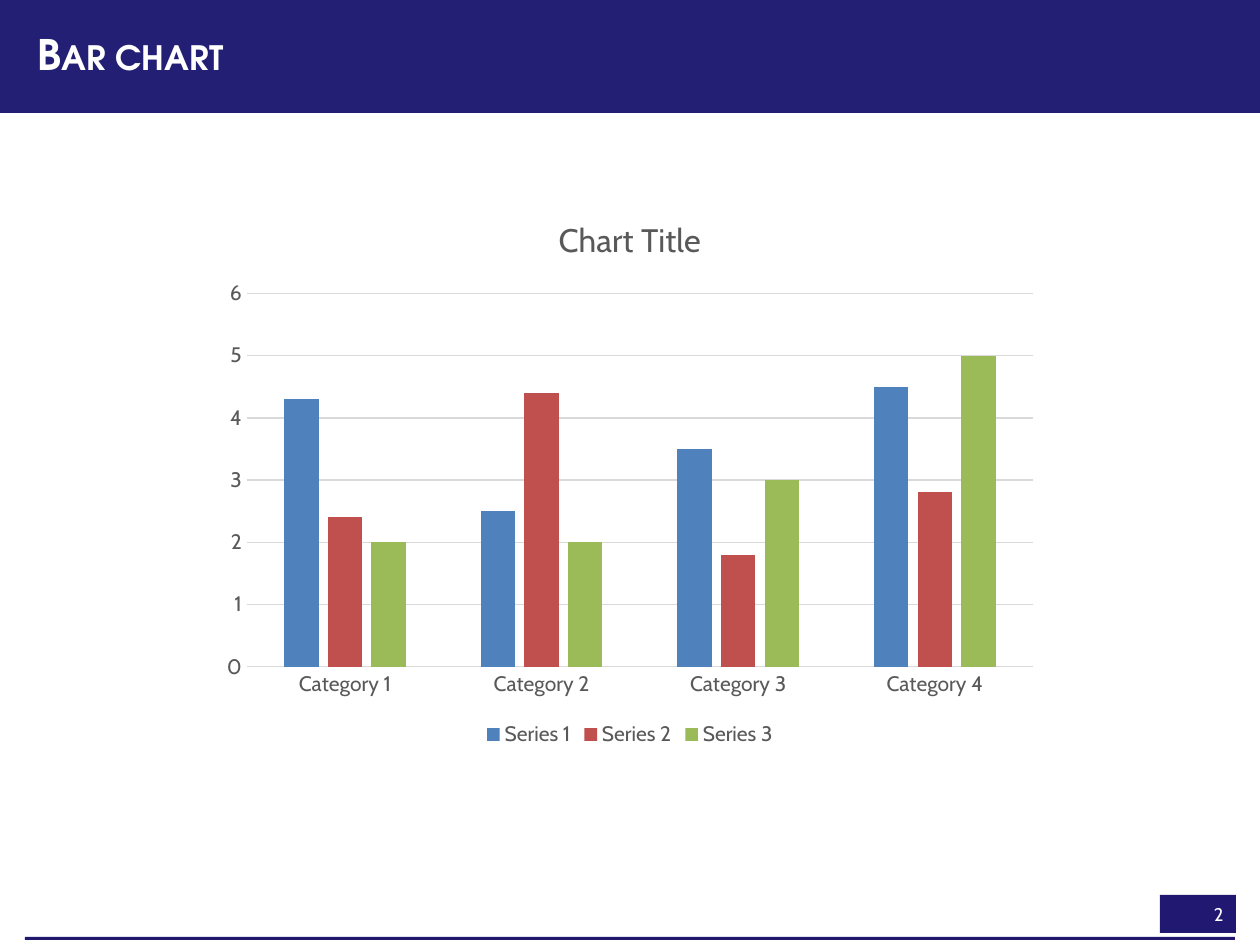
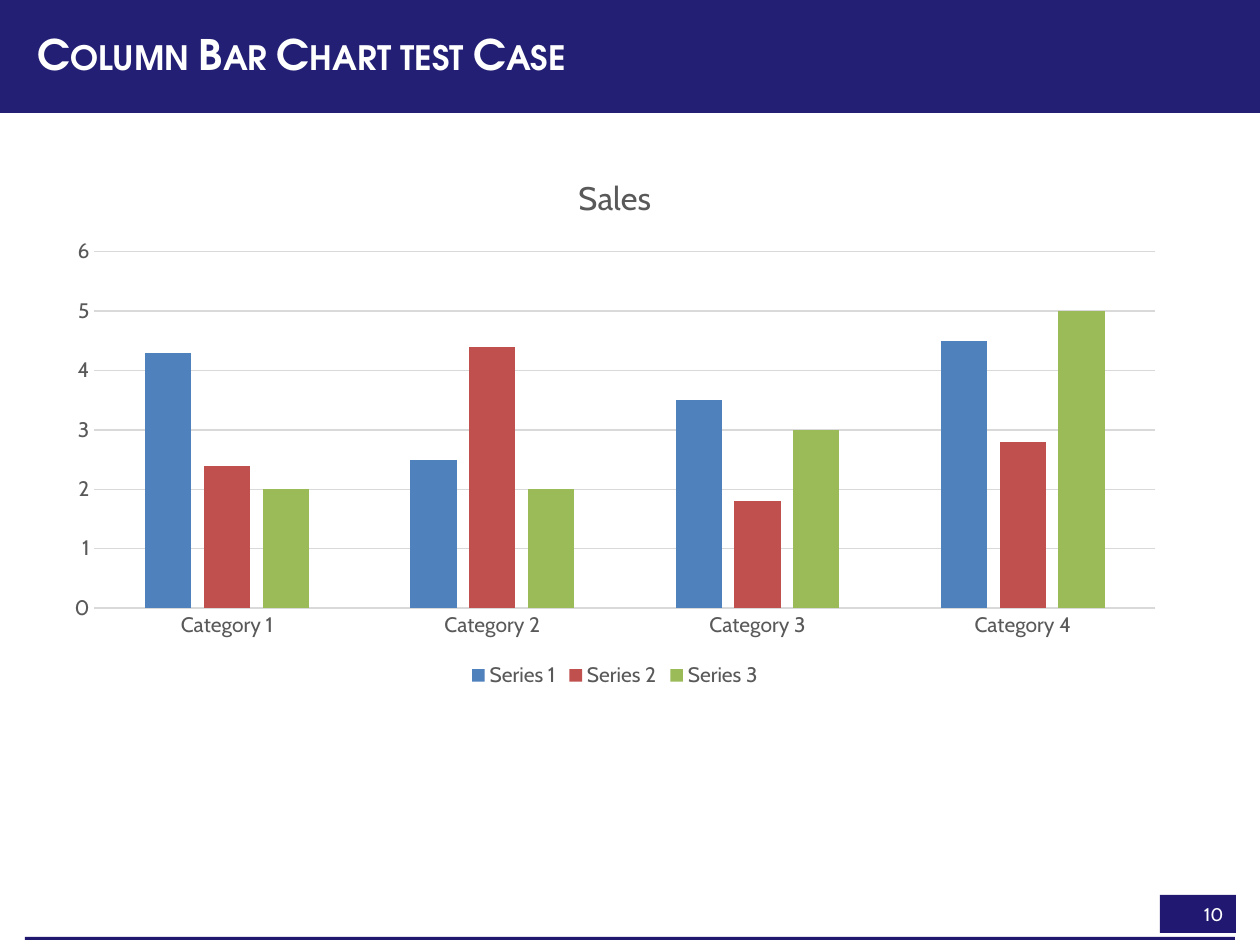
"""Build two slides, each with a clustered column chart."""
from pptx import Presentation
from pptx.chart.data import CategoryChartData as Data
from pptx.dml.color import RGBColor as RGB
from pptx.enum.chart import XL_CHART_TYPE as KIND, XL_LEGEND_POSITION as SPOT, XL_TICK_MARK as TICK
from pptx.enum.shapes import MSO_SHAPE as SHAPE
from pptx.enum.text import MSO_ANCHOR as ANCHOR, PP_ALIGN as ALIGN
from pptx.util import Pt

HUES = {"band": "231F74", "page": "211971", "rule": "20186F", "white": "FFFFFF",
        "text": "595959", "grid": "D9D9D9"}
HEAD, BODY = "TeX Gyre Adventor", "Cabin"
CATS = [f"Category {n}" for n in range(1, 5)]
ROWS = [("Series 1", (4.3, 2.5, 3.5, 4.5), "4F81BD"),
        ("Series 2", (2.4, 4.4, 1.8, 2.8), "C0504D"),
        ("Series 3", (2, 2, 3, 5), "9BBB59")]
BARS = [("band", (0, 0, 1260, 113)), ("rule", (25, 937, 1210, 3)), ("page", (1160, 895, 76, 38))]
PAGES = [("Bar chart", 2, "Chart Title", (210, 193, 840, 559)),
         ("Column Bar Chart test Case", 10, "Sales", (52, 152, 1126, 541))]


def px(*nums):
    return [round(n * 914400 / 126) for n in nums]


def put(frame, text, size, hue="white", font=BODY, bold=False, caps=False, align=None, space=None):
    frame.word_wrap = True
    frame.vertical_anchor = ANCHOR.MIDDLE
    para = frame.paragraphs[0]
    para.alignment, para.line_spacing = align, space
    run = para.add_run()
    run.text = text
    run.font.size, run.font.name, run.font.bold = Pt(size), font, bold
    run.font.color.rgb = RGB.from_string(HUES[hue])
    if caps:
        run.font._element.set("cap", "small")


deck = Presentation()
deck.slide_width, deck.slide_height = px(1260, 945)
data = Data()
data.categories = CATS
for name, vals, hue in ROWS:
    data.add_series(name, vals)

for head, page, title, box in PAGES:
    slide = deck.slides.add_slide(deck.slide_layouts[6])
    for hue, place in BARS:
        bar = slide.shapes.add_shape(SHAPE.RECTANGLE, *px(*place))
        bar.shadow.inherit = False
        bar.fill.solid()
        bar.fill.fore_color.rgb = RGB.from_string(HUES[hue])
        bar.line.fill.background()
    put(bar.text_frame, str(page), 10.5, align=ALIGN.RIGHT)
    label = slide.shapes.add_textbox(*px(25, 13, 1210, 88))
    put(label.text_frame, head, 24, font=HEAD, bold=True, caps=True, space=0.9)

    chart = slide.shapes.add_chart(KIND.COLUMN_CLUSTERED, *px(*box), data).chart
    chart.font.name, chart.font.size = BODY, Pt(12)
    chart.font.color.rgb = RGB.from_string(HUES["text"])
    chart.has_title = True
    put(chart.chart_title.text_frame, title, 18.6, hue="text")
    chart.chart_title.include_in_layout = False
    chart.has_legend = True
    chart.legend.position = SPOT.BOTTOM
    chart.legend.include_in_layout = False

    cat, val = chart.category_axis, chart.value_axis
    for axis in (cat, val):
        axis.major_tick_mark = axis.minor_tick_mark = TICK.NONE
    val.minimum_scale, val.maximum_scale, val.major_unit = 0, 6, 1
    val.has_major_gridlines = True
    val.format.line.fill.background()
    for line in (cat.format.line, val.major_gridlines.format.line):
        line.color.rgb = RGB.from_string(HUES["grid"])
        line.width = Pt(0.75)

    plot = chart.plots[0]
    plot.gap_width, plot.overlap, plot.vary_by_categories = 219, -27, False
    for serie, (name, vals, hue) in zip(plot.series, ROWS):
        serie.format.fill.solid()
        serie.format.fill.fore_color.rgb = RGB.from_string(hue)

deck.save("out.pptx")
